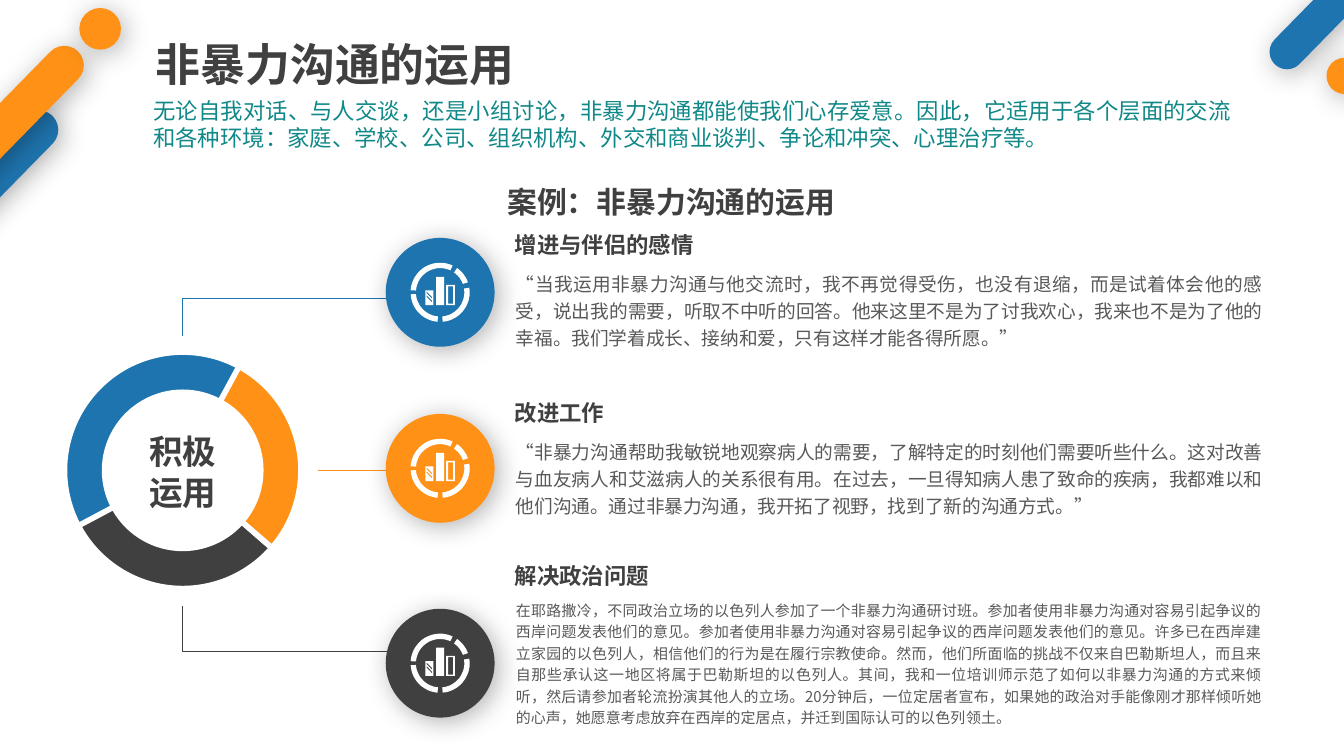
import math
from dataclasses import dataclass

from lxml import etree
from pptx import Presentation
from pptx import util as u
from pptx.dml.color import RGBColor
from pptx.enum import lang, shapes, text
from pptx.oxml.ns import qn


@dataclass(frozen=True)
class Theme:
    blue: str = "1E74AE"
    orange: str = "FF9216"
    dark: str = "404040"
    gray: str = "595959"
    teal: str = "108887"
    white: str = "FFFFFF"
    latin: str = "Calibri"
    cjk: str = "Noto Sans CJK SC"
    title: int = 24
    hub: int = 18
    subtitle: int = 16
    heading: int = 12
    body: int = 10
    small: int = 8


T = Theme()
KIND, ALIGN = shapes.MSO_SHAPE, text.PP_ALIGN

TITLE = "非暴力沟通的运用"
INTRO = "无论自我对话、与人交谈，还是小组讨论，非暴力沟通都能使我们心存爱意。因此，它适用于各个层面的交流和各种环境：家庭、学校、公司、组织机构、外交和商业谈判、争论和冲突、心理治疗等。"
SUBTITLE = "案例：非暴力沟通的运用"
HUB = ["积极", "运用"]

# heading, story, story size, colour, tops of heading, story and badge
CASES = [
    ("增进与伴侣的感情",
     "“当我运用非暴力沟通与他交流时，我不再觉得受伤，也没有退缩，而是试着体会他的感受，说出我的需要，听取不中听的回答。他来这里不是为了讨我欢心，我来也不是为了他的幸福。我们学着成长、接纳和爱，只有这样才能各得所愿。”",
     T.body, T.blue, 1.72, 1.95, 1.77),
    ("改进工作",
     "“非暴力沟通帮助我敏锐地观察病人的需要，了解特定的时刻他们需要听些什么。这对改善与血友病人和艾滋病人的关系很有用。在过去，一旦得知病人患了致命的疾病，我都难以和他们沟通。通过非暴力沟通，我开拓了视野，找到了新的沟通方式。”",
     T.body, T.orange, 2.97, 3.2, 3.08),
    ("解决政治问题",
     "在耶路撒冷，不同政治立场的以色列人参加了一个非暴力沟通研讨班。参加者使用非暴力沟通对容易引起争议的西岸问题发表他们的意见。参加者使用非暴力沟通对容易引起争议的西岸问题发表他们的意见。许多已在西岸建立家园的以色列人，相信他们的行为是在履行宗教使命。然而，他们所面临的挑战不仅来自巴勒斯坦人，而且来自那些承认这一地区将属于巴勒斯坦的以色列人。其间，我和一位培训师示范了如何以非暴力沟通的方式来倾听，然后请参加者轮流扮演其他人的立场。20分钟后，一位定居者宣布，如果她的政治对手能像刚才那样倾听她的心声，她愿意考虑放弃在西岸的定居点，并迁到国际认可的以色列领土。",
     T.small, T.dark, 4.18, 4.4, 4.53),
]

# shape, left, top, width, height, rotation, colour
DECOR = [
    (KIND.ROUNDED_RECTANGLE, -0.35, 0.62, 0.29, 1.7, 44.4, T.blue),
    (KIND.ROUNDED_RECTANGLE, 10.02, -1.15, 0.26, 1.9, 44.4, T.blue),
    (KIND.OVAL, 9.87, 0.43, 0.27, 0.27, 0, T.orange),
    (KIND.ROUNDED_RECTANGLE, -0.16, 0.14, 0.29, 1.7, 44.4, T.orange),
    (KIND.OVAL, 0.59, 0.06, 0.31, 0.31, 0, T.orange),
]

RING = (0.48, 2.62, 1.76, 1.76)
RING_WIDTH = 0.17
# colour, start and end angle in degrees, clockwise from the right
ARCS = [(T.dark, 41, 152), (T.orange, 298.5, 41)]
# colour, start at the badge, end at the ring
LINKS = [
    (T.orange, (3.21, 3.5), (2.37, 3.5)),
    (T.blue, (3.21, 2.22), (1.36, 2.5)),
    (T.dark, (3.21, 4.85), (1.36, 4.51)),
]

# Badge icon, in thousandths of an inch from its centre
BADGE_LEFT, BADGE = 2.87, 0.81
ICON_ARCS = [(-9, 85), (95, 176), (184, 295), (305, 340)]
ICON_BARS = [(-110, -15, -50, 95), (-30, -115, 30, 95), (45, -55, 110, 95),
             (60, -45, 97, 85)]
HATCH_LEFT, HATCH_RIGHT, HATCH_TOP, HATCH_BOTTOM = -100, -60, -5, 85
HATCH_STEP, HATCH_WIDTH = 27, 13


def rgb(color):
    return RGBColor.from_string(color)


def inches(*values):
    return [u.Inches(value) for value in values]


def write(box, lines, size, color, font=T.latin, bold=False, align=ALIGN.LEFT,
          spacing=1.0, inset=None, wrap=True, grow=True):
    frame = box.text_frame
    frame.word_wrap = wrap
    frame.auto_size = (text.MSO_AUTO_SIZE.SHAPE_TO_FIT_TEXT if grow
                       else text.MSO_AUTO_SIZE.NONE)
    if inset is not None:
        frame.margin_left = frame.margin_right = u.Inches(inset)
        frame.margin_top = frame.margin_bottom = u.Inches(inset)
    for index, line in enumerate(lines):
        para = frame.paragraphs[0] if index == 0 else frame.add_paragraph()
        span = para.add_run()
        span.text = line
        span.font.language_id = lang.MSO_LANGUAGE_ID.SIMPLIFIED_CHINESE
        para.alignment, para.line_spacing = align, spacing
        para.space_before = u.Pt(0)
        props = para._p.get_or_add_pPr()
        for name in ("marL", "indent", "hangingPunct"):
            props.set(name, "0")
        etree.SubElement(props, qn("a:buNone"))
        para.font.size, para.font.bold = u.Pt(size), bold
        para.font.name = font
        para.font.color.rgb = rgb(color)
        defaults = props.find(qn("a:defRPr"))
        etree.SubElement(defaults, qn("a:ea"), typeface=font)


def text_box(page, place, *args, **style):
    write(page.shapes.add_textbox(*inches(*place)), *args, **style)


def place_holder(holder, place):
    holder.left, holder.top, holder.width, holder.height = inches(*place)
    holder.text_frame.vertical_anchor = text.MSO_ANCHOR.TOP


def paint(shape, color, outline=None):
    shape.shadow.inherit = False
    shape.fill.solid()
    shape.fill.fore_color.rgb = rgb(color)
    if outline:
        shape.line.color.rgb = rgb(outline)
        shape.line.width = u.Pt(3)
    else:
        shape.line.fill.background()
    return shape


def add_shadow(shape, blur):
    effects = shape._element.spPr.find(qn("a:effectLst"))
    outer = etree.SubElement(effects, qn("a:outerShdw"), blurRad=str(u.Pt(blur)),
                             dist=str(u.Pt(3)), dir="2700000", algn="tl",
                             rotWithShape="0")
    black = etree.SubElement(outer, qn("a:srgbClr"), val="000000")
    etree.SubElement(black, qn("a:alpha"), val="30000")


def icon_outlines():
    """Return the closed outlines of a broken ring around three bars."""
    def arc(radius, start, end):
        steps = 24
        angles = [math.radians(start + (end - start) * i / steps)
                  for i in range(steps + 1)]
        return [(radius * math.cos(a), radius * math.sin(a)) for a in angles]

    outlines = [arc(220, a, b) + arc(180, b, a) for a, b in ICON_ARCS]
    outlines += [[(l, t), (r, t), (r, b), (l, b)] for l, t, r, b in ICON_BARS]
    slope = HATCH_RIGHT - HATCH_LEFT
    for top in range(HATCH_TOP, HATCH_BOTTOM - slope, HATCH_STEP):
        outlines.append([(HATCH_LEFT, top), (HATCH_RIGHT, top + slope),
                         (HATCH_RIGHT, top + slope + HATCH_WIDTH),
                         (HATCH_LEFT, top + HATCH_WIDTH)])
    return outlines


def add_badge(page, top, color):
    group = page.shapes.add_group_shape()
    disc = group.shapes.add_shape(KIND.OVAL, *inches(BADGE_LEFT, top, BADGE, BADGE))
    add_shadow(paint(disc, color), 14)
    first, *rest = icon_outlines()
    builder = group.shapes.build_freeform(*first[0], scale=u.Inches(1) / 1000)
    builder.add_line_segments(first[1:])
    for outline in rest:
        builder.move_to(*outline[0])
        builder.add_line_segments(outline[1:])
    center = inches(BADGE_LEFT + BADGE / 2, top + BADGE / 2)
    paint(builder.convert_to_shape(*center), T.white)


def add_ring(page):
    hub = paint(page.shapes.add_shape(KIND.OVAL, *inches(0.35, 2.5, 2.02, 2.02)), T.white)
    hub.text_frame.vertical_anchor = text.MSO_ANCHOR.MIDDLE
    write(hub, HUB, T.hub, T.dark, T.cjk, True, ALIGN.CENTER, wrap=False, grow=False)
    group = page.shapes.add_group_shape()
    donut = group.shapes.add_shape(KIND.DONUT, *inches(*RING))
    donut.adjustments[0] = RING_WIDTH
    paint(donut, T.blue, T.white)
    for color, start, end in ARCS:
        arc = group.shapes.add_shape(KIND.BLOCK_ARC, *inches(*RING))
        for index, value in enumerate((start * 0.6, end * 0.6, RING_WIDTH)):
            arc.adjustments[index] = value
        paint(arc, color, T.white)


def add_link(page, color, start, end):
    bent = start[1] != end[1]
    kind = shapes.MSO_CONNECTOR.ELBOW if bent else shapes.MSO_CONNECTOR.STRAIGHT
    link = page.shapes.add_connector(kind, *inches(*start, *end))
    link.line.color.rgb, link.line.width = rgb(color), u.Pt(0.75)
    props = link._element.spPr
    if bent:
        props.find(qn("a:prstGeom")).set("prst", "bentConnector2")
    etree.SubElement(props, qn("a:effectLst"))


def main():
    deck = Presentation()
    deck.slide_width = u.Inches(10)
    deck.slide_height = deck.slide_width * 9 // 16
    page = deck.slides.add_slide(deck.slide_layouts[1])
    for kind, left, top, width, height, turn, color in DECOR:
        shape = page.shapes.add_shape(kind, *inches(left, top, width, height))
        shape.rotation = turn
        if kind == KIND.ROUNDED_RECTANGLE:
            shape.adjustments[0] = 0.5
        add_shadow(paint(shape, color), 15)

    title, intro = page.shapes.title, page.placeholders[1]
    place_holder(title, (1.06, 0.22, 3.07, 0.5))
    write(title, [TITLE], T.title, T.dark, T.cjk, True)
    place_holder(intro, (1.14, 0.72, 8.03, 0.4))
    write(intro, [INTRO], T.heading, T.teal, align=ALIGN.JUSTIFY, inset=0)
    text_box(page, (3.5, 1.37, 2.99, 0.27), [SUBTITLE], T.subtitle, T.dark,
             bold=True, align=ALIGN.CENTER, inset=0)

    add_ring(page)
    for link in LINKS:
        add_link(page, *link)
    for heading, story, size, color, top, story_top, badge_top in CASES:
        text_box(page, (3.83, top, 3.3, 0.2), [heading], T.heading, T.dark,
                 bold=True, inset=0)
        text_box(page, (3.74, story_top, 5.75, 0.38), [story], size, T.gray, T.cjk,
                 align=ALIGN.JUSTIFY, spacing=1.2, grow=False)
        add_badge(page, badge_top, color)
    deck.save("out.pptx")


if __name__ == "__main__":
    main()
